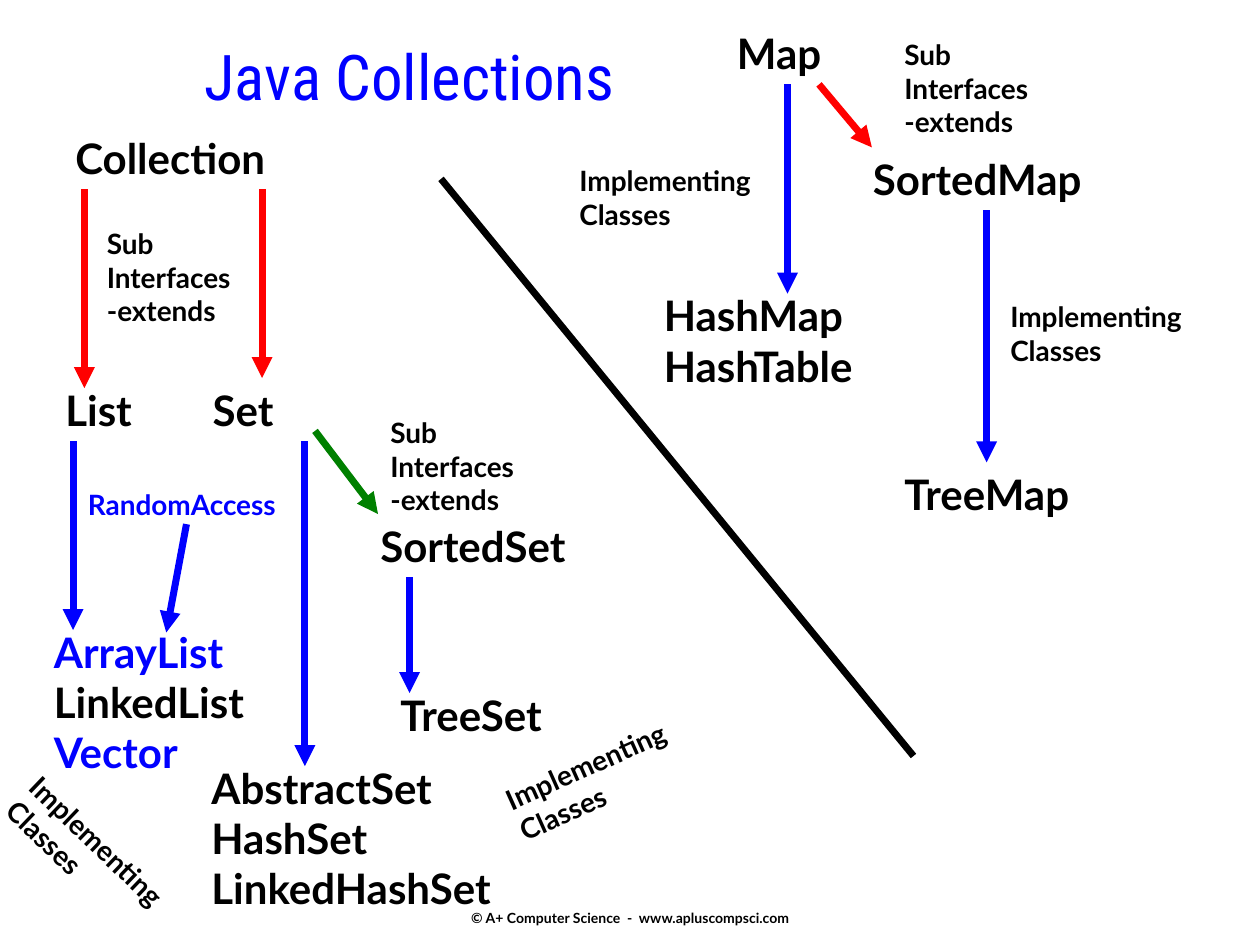
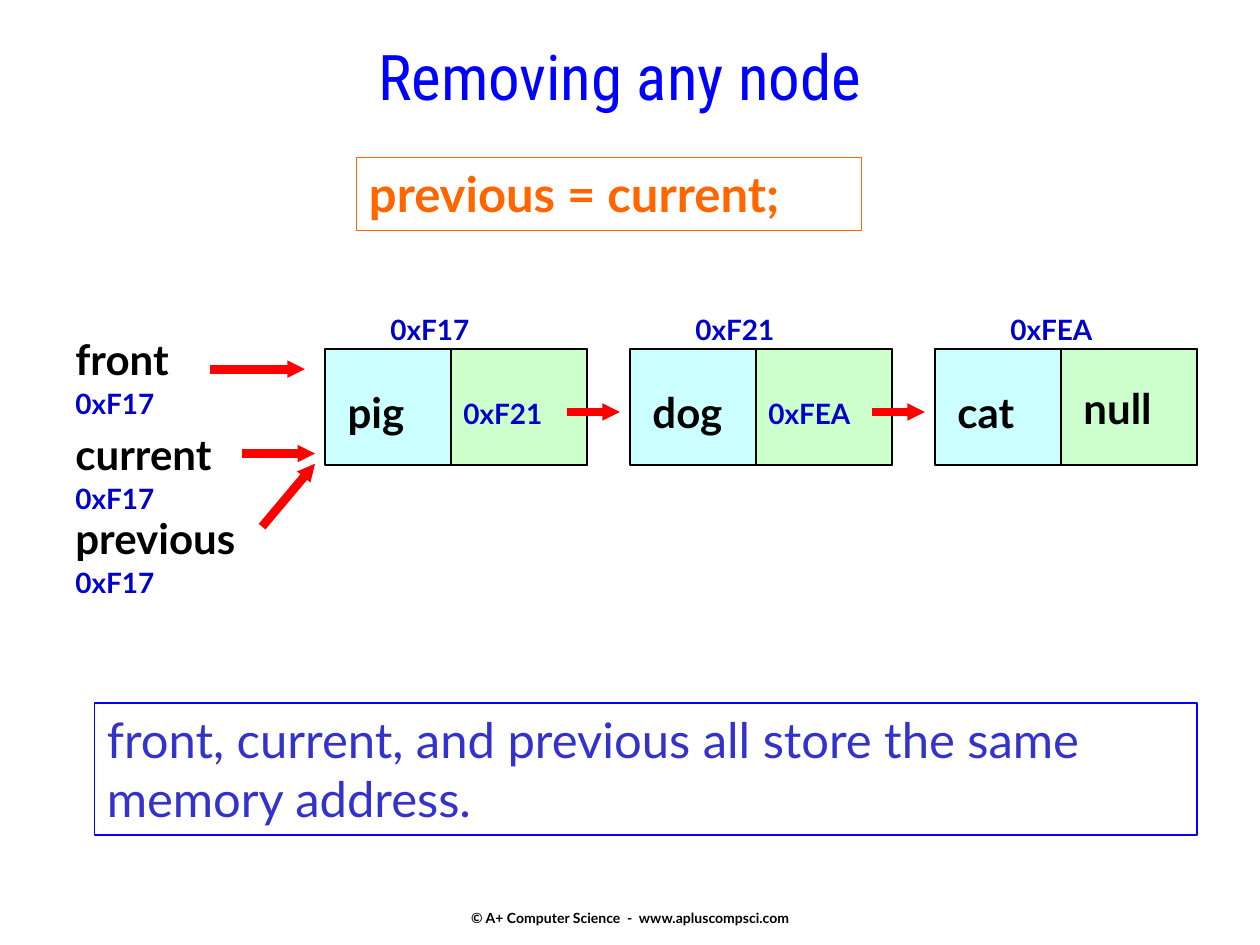
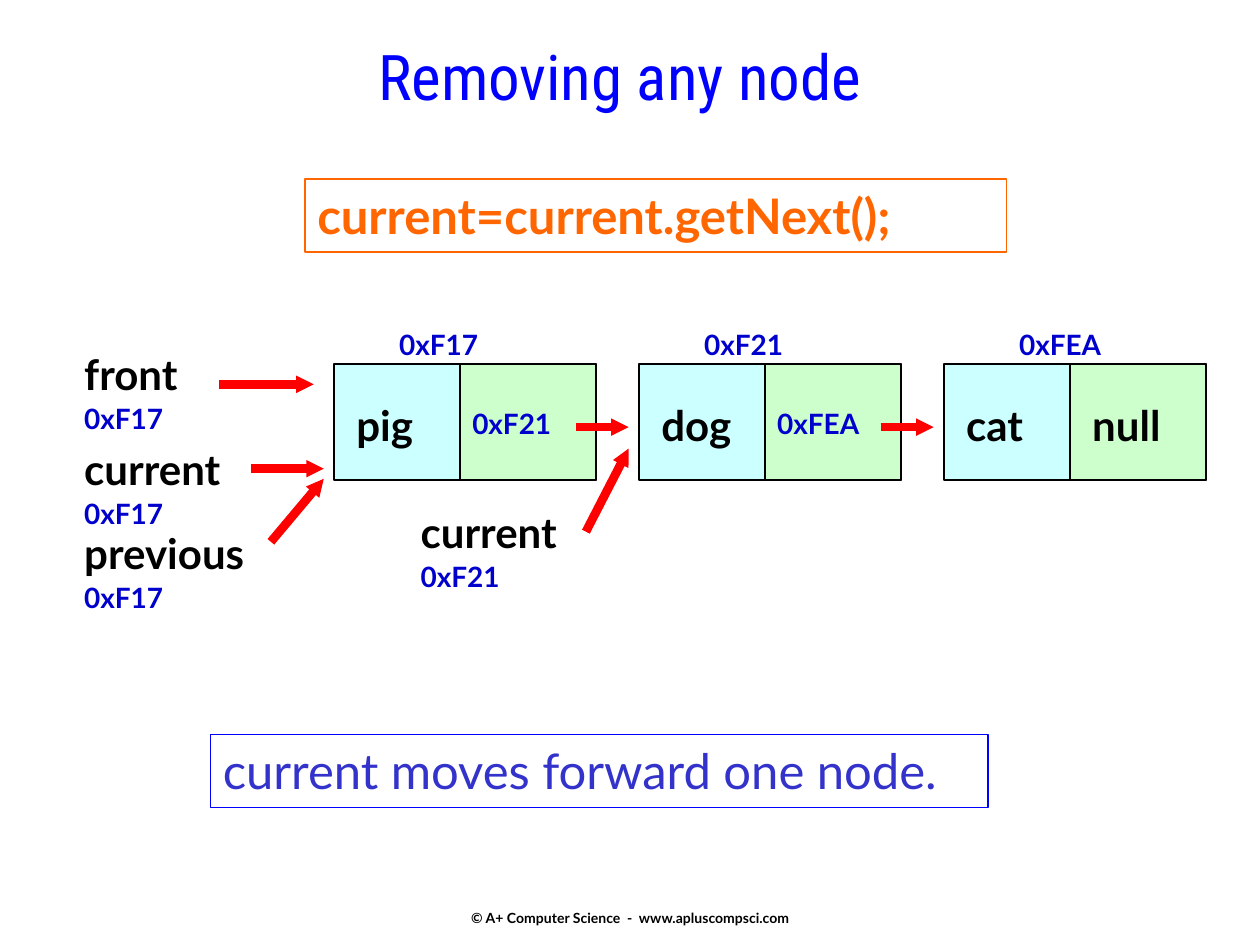
import pptx
import pptx.util
import pptx.dml.color
import pptx.enum.shapes
import pptx.enum.text
import lxml.etree

Inches = pptx.util.Inches
Shape = pptx.enum.shapes.MSO_SHAPE
Align = pptx.enum.text.PP_ALIGN
Anchor = pptx.enum.text.MSO_ANCHOR

BLACK, BLUE, RED, GREEN = "000000", "0000FF", "FF0000", "008000"
ORANGE, NAVY, INDIGO = "FF6600", "0000CC", "3333CC"
CYAN, MINT = "CCFFFF", "CCFFCC"
NS = "http://schemas.openxmlformats.org/drawingml/2006/main"


def color(value):
    return pptx.dml.color.RGBColor.from_string(value)


def inches(*values):
    return [Inches(value) for value in values]


class Deck:
    body = "Lato"
    head = "Roboto Condensed"

    def __init__(self):
        self.file = pptx.Presentation()
        self.file.slide_width, self.file.slide_height = inches(10, 7.5)

    def start(self, title, left, width):
        self.slide = self.file.slides.add_slide(self.file.slide_layouts[5])
        shape = self.slide.shapes.title
        shape.left, shape.top, shape.width, shape.height = inches(left, 0.25, width, 0.7)
        self.fill_text(shape, title, 36, BLUE, False, self.head, Align.CENTER)
        self.label("© A+ Computer Science  -  www.apluscompsci.com",
                   3.42, 7.17, 3.17, 0.25, 8, align=Align.CENTER)

    def fill_text(self, shape, text, size, tint, bold, font, align):
        frame = shape.text_frame
        frame.text = text
        frame.word_wrap = True
        frame.auto_size = pptx.enum.text.MSO_AUTO_SIZE.NONE
        frame.vertical_anchor = Anchor.TOP
        for item in frame.paragraphs:
            item.alignment = align
            for run in item.runs:
                run.font.name = font
                run.font.size = pptx.util.Pt(size)
                run.font.bold = bold
                run.font.color.rgb = color(tint)

    def label(self, text, left, top, width, height=0.5, size=24, tint=BLACK,
              turn=0, align=Align.LEFT):
        shape = self.slide.shapes.add_textbox(*inches(left, top, width, height))
        shape.rotation = turn
        self.fill_text(shape, text, size, tint, True, self.body, align)
        return shape

    def note(self, text, left, top, width=1.86, turn=0, tint=BLACK):
        height = 0.1 + 0.27 * len(text.split("\n"))
        self.label(text, left, top, width, height, 16, tint, turn)

    def box(self, left, top, width, height, edge, weight=1, fill=None):
        shape = self.slide.shapes.add_shape(Shape.RECTANGLE, *inches(left, top, width, height))
        shape.shadow.inherit = False
        shape.line.color.rgb = color(edge)
        shape.line.width = pptx.util.Pt(weight)
        if fill:
            shape.fill.solid()
            shape.fill.fore_color.rgb = color(fill)
        else:
            shape.fill.background()
        return shape

    def frame(self, text, left, top, width, height, edge, weight, tint, bold):
        shape = self.box(left, top, width, height, edge, weight)
        self.fill_text(shape, text, 28, tint, bold, self.body, Align.LEFT)

    def code(self, text, left, top, width):
        self.frame(text, left, top, width, 0.58, ORANGE, 0.75, ORANGE, True)

    def remark(self, text, left, top, width, height):
        self.frame(text, left, top, width, height, BLUE, 1, INDIGO, False)

    def line(self, start, end, tint, weight=4, tip="med"):
        shape = self.slide.shapes.add_connector(
            pptx.enum.shapes.MSO_CONNECTOR.STRAIGHT, *inches(*start, *end))
        shape.line.color.rgb = color(tint)
        shape.line.width = pptx.util.Pt(weight)
        if tip:
            lxml.etree.SubElement(shape.line._get_or_add_ln(), f"{{{NS}}}tailEnd",
                                  type="triangle", w=tip, len=tip)
        lxml.etree.SubElement(shape._element.spPr, f"{{{NS}}}effectLst")

    def point(self, start, end):
        self.line(start, end, RED, 5, "sm")

    def pointer(self, name, address, left, top):
        self.label(name, left, top, 1.75)
        self.note(address, left, top + 0.42, 1.08, tint=NAVY)

    def chain(self, left, top, word, null, link):
        nodes = [("pig", "0xF17", 0.42), ("dog", "0xF21", 0.42), ("cat", "0xFEA", 0.5)]
        for index, (name, address, shift) in enumerate(nodes):
            x = left + 2.42 * index
            self.box(x, top, 2.08, 0.92, BLACK, fill=CYAN)
            self.box(x + 1, top, 1.08, 0.92, BLACK, fill=MINT)
            self.label(name, x + 0.08, top + word, 0.92)
            self.note(address, x + shift, top - 0.34, 1.08, tint=NAVY)
            if index < len(nodes) - 1:
                self.note(nodes[index + 1][1], x + 1, top + link, 1.08, tint=NAVY)
                self.point((x + 1.92, top + 0.5), (x + 2.34, top + 0.5))
            else:
                self.label("null", x + 1.08, top + null, 1.08)
        for name, drop in [("front", -0.17), ("current", 0.58), ("previous", 1.25)]:
            self.pointer(name, "0xF17", left - 2.08, top + drop)
        for x, y, end_x, end_y in [(-0.91, 0.16, -0.16, 0.16),
                                   (-0.66, 0.83, -0.08, 0.83),
                                   (-0.5, 1.41, -0.08, 0.91)]:
            self.point((left + x, top + y), (left + end_x, top + end_y))


def draw_tree(deck):
    deck.start("Java Collections", 1.25, 4)
    for text, left, top, width in [
            ("Collection", 0.5, 1, 1.86), ("Map", 5.75, 0.17, 0.91),
            ("List", 0.42, 3, 1), ("Set", 1.59, 3, 0.96),
            ("TreeSet", 3.08, 5.42, 1.49), ("SortedSet", 2.92, 4.08, 1.86),
            ("TreeMap", 7.08, 3.67, 1.65), ("SortedMap", 6.83, 1.17, 2.02)]:
        deck.label(text, left, top, width)
    deck.label("AbstractSet\nHashSet\nLinkedHashSet", 1.58, 6, 2.7, 1.3)
    deck.label("HashMap\nHashTable", 5.17, 2.25, 1.95, 0.9)
    lists = deck.label("ArrayList\nLinkedList\nVector", 0.33, 4.92, 1.94, 1.3, tint=BLUE)
    lists.text_frame.paragraphs[1].runs[0].font.color.rgb = color(BLACK)
    for left, top in [(0.75, 1.75), (3, 3.25), (7.08, 0.25)]:
        deck.note("Sub\nInterfaces\n-extends", left, top, 1.36)
    for left, top, turn in [(-0.15, 6.56, 43.9), (3.91, 5.82, 335.8),
                            (7.92, 2.33, 0), (4.5, 1.25, 0)]:
        deck.note("Implementing\nClasses", left, top, turn=turn)
    deck.note("RandomAccess", 0.6, 3.82, 1.9, tint=BLUE)
    for start, end, tint in [
            ((0.67, 1.5), (0.67, 3.08), RED), ((2.08, 1.5), (2.08, 3), RED),
            ((6.5, 0.67), (6.92, 1.17), RED), ((2.5, 3.42), (3, 4.08), GREEN),
            ((2.42, 3.5), (2.42, 6.08), BLUE), ((3.25, 4.58), (3.25, 5.5), BLUE),
            ((0.58, 3.5), (0.58, 5), BLUE), ((6.25, 0.67), (6.25, 2.33), BLUE),
            ((7.83, 1.67), (7.83, 3.67), BLUE), ((1.48, 4.16), (1.32, 5.02), BLUE)]:
        deck.line(start, end, tint)
    deck.line((3.5, 1.42), (7.25, 6), BLACK, tip=None)


def draw_store(deck):
    deck.start("Removing any node", 2.67, 4.5)
    deck.code("previous = current;", 2.83, 1.25, 4.01)
    deck.chain(2.58, 2.77, 0.25, 0.22, 0.33)
    deck.remark("front, current, and previous all store the same memory address.",
                0.75, 5.58, 8.75, 1.05)


def draw_move(deck):
    deck.start("Removing any node", 2.67, 4.5)
    deck.code("current=current.getNext();", 2.42, 1.42, 5.57)
    deck.chain(2.65, 2.89, 0.23, 0.23, 0.29)
    deck.pointer("current", "0xF21", 3.24, 3.97)
    deck.point((4.65, 4.22), (4.99, 3.56))
    deck.remark("current moves forward one node.", 1.67, 5.83, 6.17, 0.58)


def main():
    deck = Deck()
    draw_tree(deck)
    draw_store(deck)
    draw_move(deck)
    deck.file.save("out.pptx")


if __name__ == "__main__":
    main()
